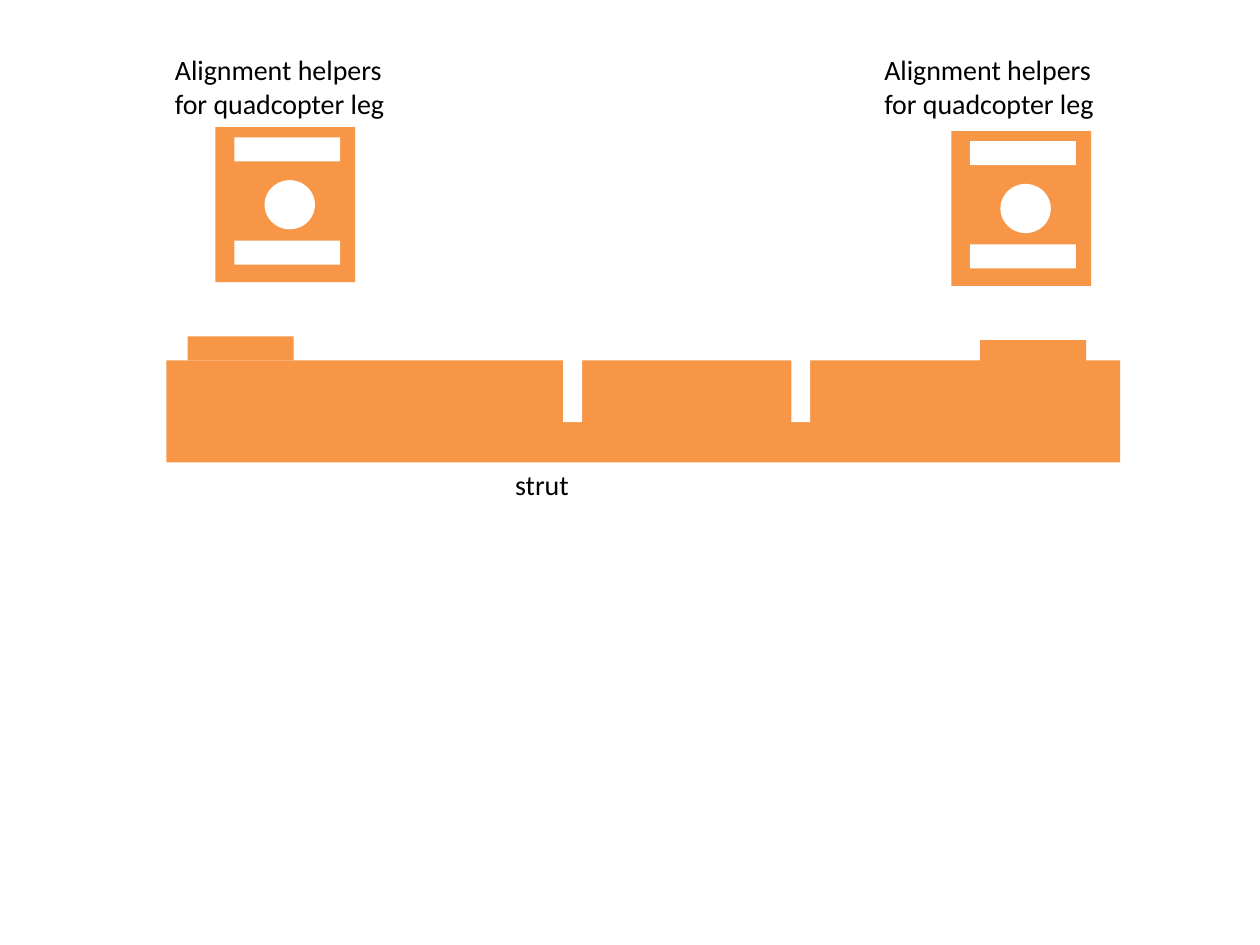
from dataclasses import dataclass

from pptx import Presentation
from pptx.dml.color import RGBColor as Rgb
from pptx.enum.shapes import MSO_SHAPE as Kind
from pptx.enum.text import MSO_AUTO_SIZE as Fit
from pptx.shapes.shapetree import GroupShapes, SlideShapes
from pptx.util import Inches, Pt


@dataclass(frozen=True)
class Theme:
    wood: str = "F79646"
    gap: str = "FFFFFF"
    ink: str = "000000"
    font: str = "Calibri"
    size: int = 16


@dataclass(frozen=True)
class Part:
    left: float
    top: float
    width: float
    height: float
    fill: str
    kind: Kind = Kind.RECTANGLE


THEME = Theme()
TAB = (0.84, 0.19)
SLOT = (0.15, 0.99)
STRUT = [
    Part(1.32, 2.86, 7.57, 0.81, THEME.wood),
    *(Part(x, y, *TAB, THEME.wood) for x, y in ((1.49, 2.67), (7.78, 2.7))),
    *(Part(x, 2.36, *SLOT, THEME.gap) for x in (4.47, 6.28)),
]
HELPER = [
    Part(0, 0, 1.11, 1.23, THEME.wood),
    *(Part(0.15, y, *TAB, THEME.gap) for y in (0.9, 0.08)),
    Part(0.39, 0.42, 0.4, 0.39, THEME.gap, Kind.OVAL),
]


def draw_part(shapes: GroupShapes, part: Part, x: float, y: float) -> None:
    shape = shapes.add_shape(part.kind, Inches(part.left + x), Inches(part.top + y),
                             Inches(part.width), Inches(part.height))
    shape.shadow.inherit = False
    shape.fill.solid()
    shape.fill.fore_color.rgb = Rgb.from_string(part.fill)
    shape.line.fill.background()


def draw_group(shapes: SlideShapes, parts: list[Part], x: float = 0, y: float = 0) -> None:
    group = shapes.add_group_shape()
    for part in parts:
        draw_part(group.shapes, part, x, y)


def add_text(shapes: SlideShapes, text: str, *, left: float, top: float,
             height: float, width: float = 2.04, size: int = THEME.size,
             color: str = THEME.ink) -> None:
    box = shapes.add_textbox(Inches(left), Inches(top), Inches(width), Inches(height))
    frame = box.text_frame
    frame.word_wrap = True
    frame.auto_size = Fit.SHAPE_TO_FIT_TEXT
    run = frame.paragraphs[0].add_run()
    run.text = text
    run.font.name = THEME.font
    run.font.size = Pt(size)
    run.font.color.rgb = Rgb.from_string(color)


def main() -> None:
    deck = Presentation()
    deck.slide_width, deck.slide_height = Inches(10), Inches(7.5)
    shapes = deck.slides.add_slide(deck.slide_layouts[6]).shapes
    draw_group(shapes, STRUT)
    for x, y in ((1.71, 1.01), (7.55, 1.04)):
        draw_group(shapes, HELPER, x, y)
    for left in (1.29, 6.92):
        add_text(shapes, "Alignment helpers for quadcopter leg",
                 left=left, top=0.37, height=0.64)
    add_text(shapes, "strut", left=3.99, top=3.66, height=0.37)
    deck.save("out.pptx")


if __name__ == "__main__":
    main()
